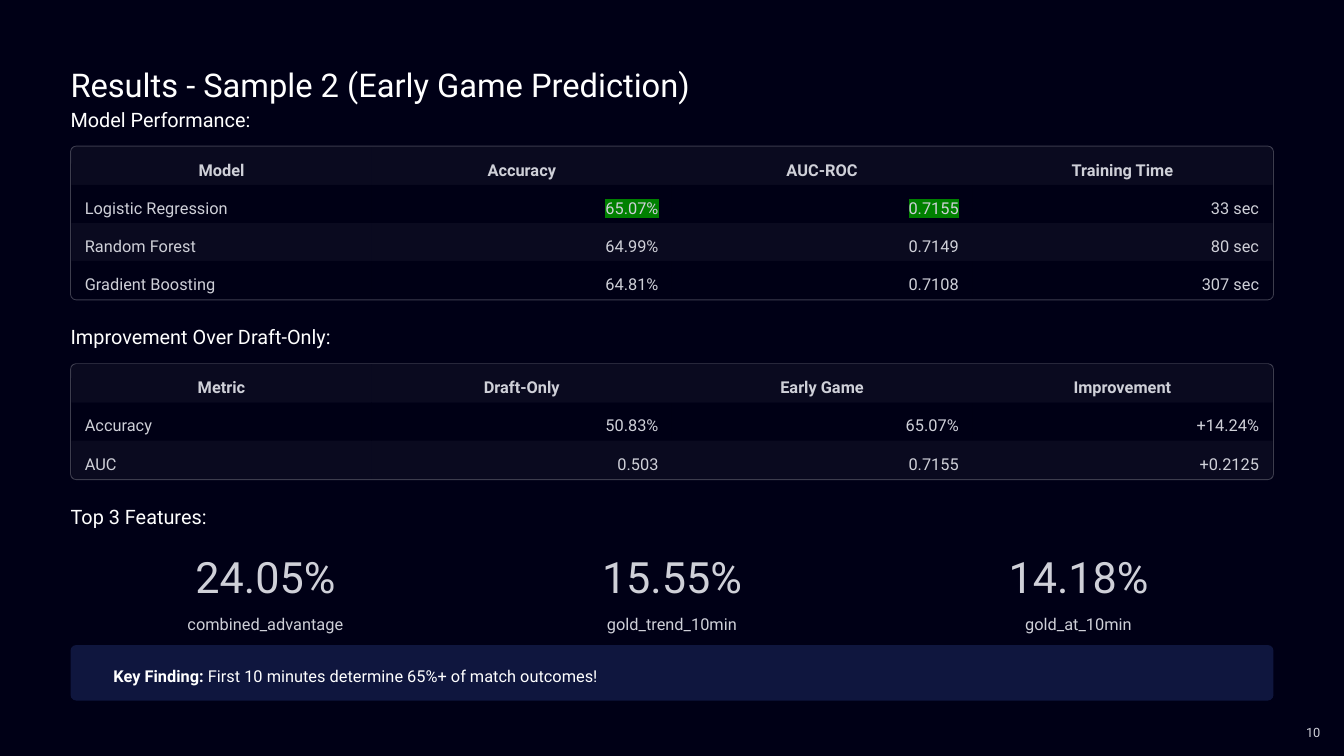
"""Build the results slide for the early game prediction sample."""
from dataclasses import dataclass

from lxml.etree import SubElement
from pptx import Presentation
from pptx.dml.color import RGBColor
from pptx.enum.shapes import MSO_SHAPE
from pptx.enum.text import MSO_ANCHOR, PP_ALIGN
from pptx.oxml.ns import qn
from pptx.util import Inches, Pt


@dataclass(frozen=True)
class Theme:
    font: str = "Roboto"
    background: RGBColor = RGBColor.from_string("000000")
    backdrop: RGBColor = RGBColor.from_string("000018")
    light: RGBColor = RGBColor.from_string("FFFFFF")
    dark: RGBColor = RGBColor.from_string("000000")
    callout: RGBColor = RGBColor.from_string("0F163E")
    body: RGBColor = RGBColor.from_string("CFD0D8")
    highlight: str = "008000"
    backdrop_opacity: int = 95
    band_opacity: int = 4
    border_opacity: int = 24
    title_size: int = 28
    heading_size: int = 17
    body_size: int = 14
    figure_size: int = 37
    page_size: int = 11


theme = Theme()


def write(text_frame, text, size=theme.body_size, color=theme.body,
          align=PP_ALIGN.LEFT, spacing=1.25, bold=False):
    paragraph = text_frame.paragraphs[0]
    paragraph.text = text
    paragraph.alignment = align
    paragraph.line_spacing = spacing
    run = paragraph.runs[0]
    run.font.name = theme.font
    run.font.size = Pt(size)
    run.font.color.rgb = color
    run.font.bold = bold
    return run


def add_text(left, top, width, height, text, **style):
    text_frame = slide.shapes.add_textbox(
        Inches(left), Inches(top), Inches(width), Inches(height)).text_frame
    text_frame.word_wrap = True
    text_frame.margin_left = text_frame.margin_right = 0
    text_frame.margin_top = text_frame.margin_bottom = 0
    write(text_frame, text, **style)
    return text_frame


presentation = Presentation()
presentation.slide_width = Inches(16)
presentation.slide_height = Inches(9)
slide = presentation.slides.add_slide(presentation.slide_layouts[6])
slide.background.fill.solid()
slide.background.fill.fore_color.rgb = theme.background

backdrop = slide.shapes.add_shape(
    MSO_SHAPE.RECTANGLE, 0, 0, Inches(16), Inches(9))
backdrop.shadow.inherit = False
backdrop.fill.solid()
backdrop.fill.fore_color.rgb = theme.backdrop
backdrop.line.fill.background()
translucent = [(backdrop._element.spPr, theme.backdrop_opacity)]

left, content_width = 0.84, 14.32
add_text(left, 0.66, 7.5, 0.49, "Results - Sample 2 (Early Game Prediction)",
         size=theme.title_size, color=theme.light)

for top, width, heading in [(1.21, 2.34, "Model Performance:"),
                            (3.8, 4.74, "Improvement Over Draft-Only:"),
                            (5.94, 2.34, "Top 3 Features:")]:
    add_text(left, top, width, 0.29, heading, size=theme.heading_size,
             color=theme.light, spacing=1.24)

model_rows = [
    ("Model", "Accuracy", "AUC-ROC", "Training Time"),
    ("Logistic Regression", "65.07%", "0.7155", "33 sec"),
    ("Random Forest", "64.99%", "0.7149", "80 sec"),
    ("Gradient Boosting", "64.81%", "0.7108", "307 sec"),
]
improvement_rows = [
    ("Metric", "Draft-Only", "Early Game", "Improvement"),
    ("Accuracy", "50.83%", "65.07%", "+14.24%"),
    ("AUC", "0.503", "0.7155", "+0.2125"),
]
inset = 0.01
table_width = content_width - 2 * inset
no_grid_style = "{2D5ABB26-0587-4C30-8999-92F81FD0307C}"

for top, height, rows, best_cells in [
        (1.74, 1.83, model_rows, {(1, 1), (1, 2)}),
        (4.33, 1.38, improvement_rows, set())]:
    frame = slide.shapes.add_shape(
        MSO_SHAPE.ROUNDED_RECTANGLE, Inches(left), Inches(top),
        Inches(content_width), Inches(height))
    frame.adjustments[0] = 0.066 / height
    frame.shadow.inherit = False
    frame.fill.background()
    frame.line.color.rgb = theme.light
    frame.line.width = Pt(0.75)
    translucent.append((frame._element.spPr, theme.border_opacity))

    table = slide.shapes.add_table(
        len(rows), len(rows[0]), Inches(left + inset), Inches(top + inset),
        Inches(table_width), Inches(height - 2 * inset)).table
    table.horz_banding = False
    table._tbl.tblPr.find(qn("a:tableStyleId")).text = no_grid_style
    for row_index, row in enumerate(rows):
        for column_index, text in enumerate(row):
            cell = table.cell(row_index, column_index)
            cell.margin_left = cell.margin_right = Inches(0.16)
            cell.margin_top, cell.margin_bottom = Inches(0.11), 0
            cell.vertical_anchor = MSO_ANCHOR.TOP
            cell.fill.solid()
            cell.fill.fore_color.rgb = (
                theme.dark if row_index % 2 else theme.light)
            translucent.append((cell._tc.tcPr, theme.band_opacity))
            if row_index == 0:
                align = PP_ALIGN.CENTER
            else:
                align = PP_ALIGN.RIGHT if column_index else PP_ALIGN.LEFT
            run = write(cell.text_frame, text, align=align, bold=row_index == 0)
            if (row_index, column_index) in best_cells:
                properties = run.font._element
                highlight = SubElement(properties, qn("a:highlight"))
                SubElement(highlight, qn("a:srgbClr"), val=theme.highlight)
                properties.find(qn("a:solidFill")).addnext(highlight)

for properties, opacity in translucent:
    color = next(properties.iter(qn("a:srgbClr")))
    SubElement(color, qn("a:alpha"), val=str(opacity * 1000))

feature_width, feature_gap = 4.64, 0.2
features = [("24.05%", "combined_advantage"),
            ("15.55%", "gold_trend_10min"),
            ("14.18%", "gold_at_10min")]
for index, (share, feature) in enumerate(features):
    feature_left = left + index * (feature_width + feature_gap)
    add_text(feature_left, 6.55, feature_width, 0.52, share,
             size=theme.figure_size, align=PP_ALIGN.CENTER, spacing=1.0)
    add_text(feature_left, 7.25, feature_width, 0.25, feature,
             align=PP_ALIGN.CENTER)

callout = slide.shapes.add_shape(
    MSO_SHAPE.ROUNDED_RECTANGLE, Inches(left), Inches(7.68),
    Inches(content_width), Inches(0.66))
callout.adjustments[0] = 0.1
callout.shadow.inherit = False
callout.fill.solid()
callout.fill.fore_color.rgb = theme.callout
callout.line.fill.background()

finding = add_text(1.35, 7.87, 13.65, 0.25, "Key Finding:",
                   color=theme.light, bold=True)
detail = finding.paragraphs[0].add_run()
detail.text = " First 10 minutes determine 65%+ of match outcomes!"
detail.font.name = theme.font
detail.font.size = Pt(theme.body_size)
detail.font.color.rgb = theme.light

add_text(14.3, 8.34, 1.42, 0.4, "10", size=theme.page_size,
         align=PP_ALIGN.RIGHT, spacing=2.59)

presentation.save("out.pptx")
